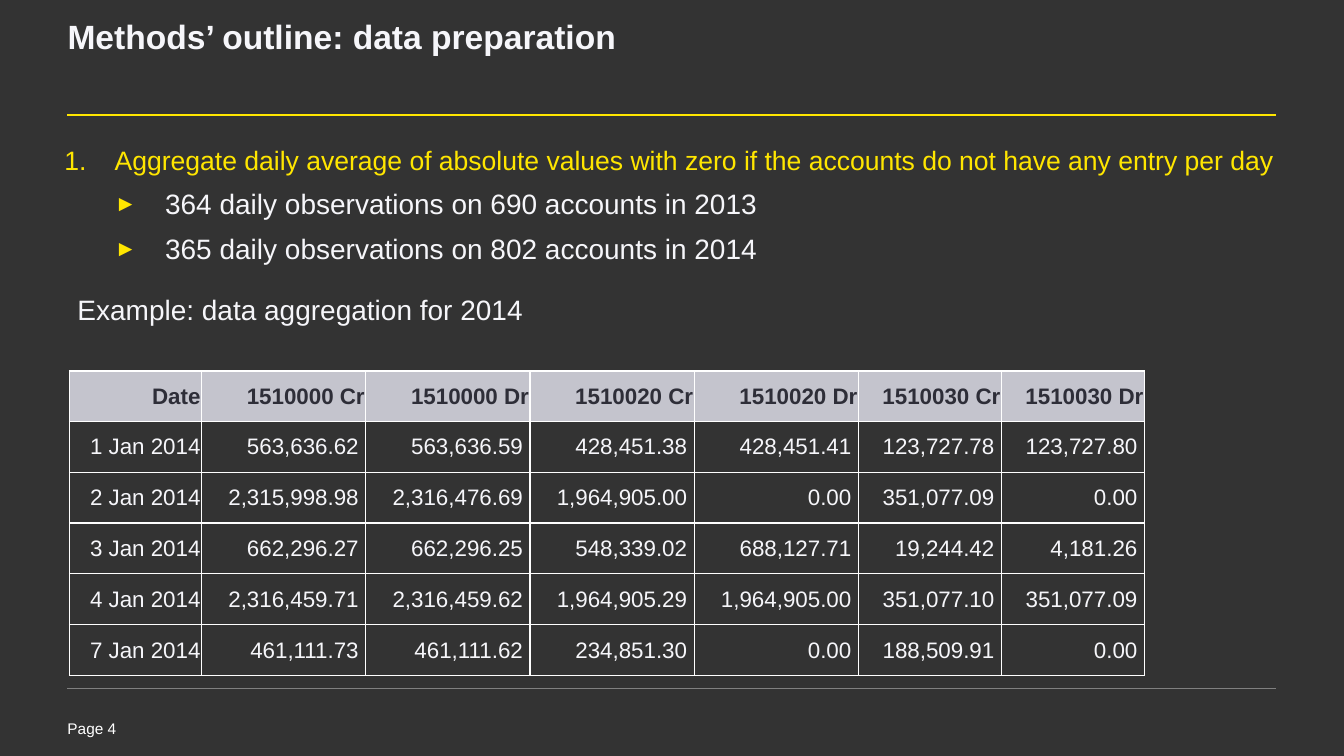
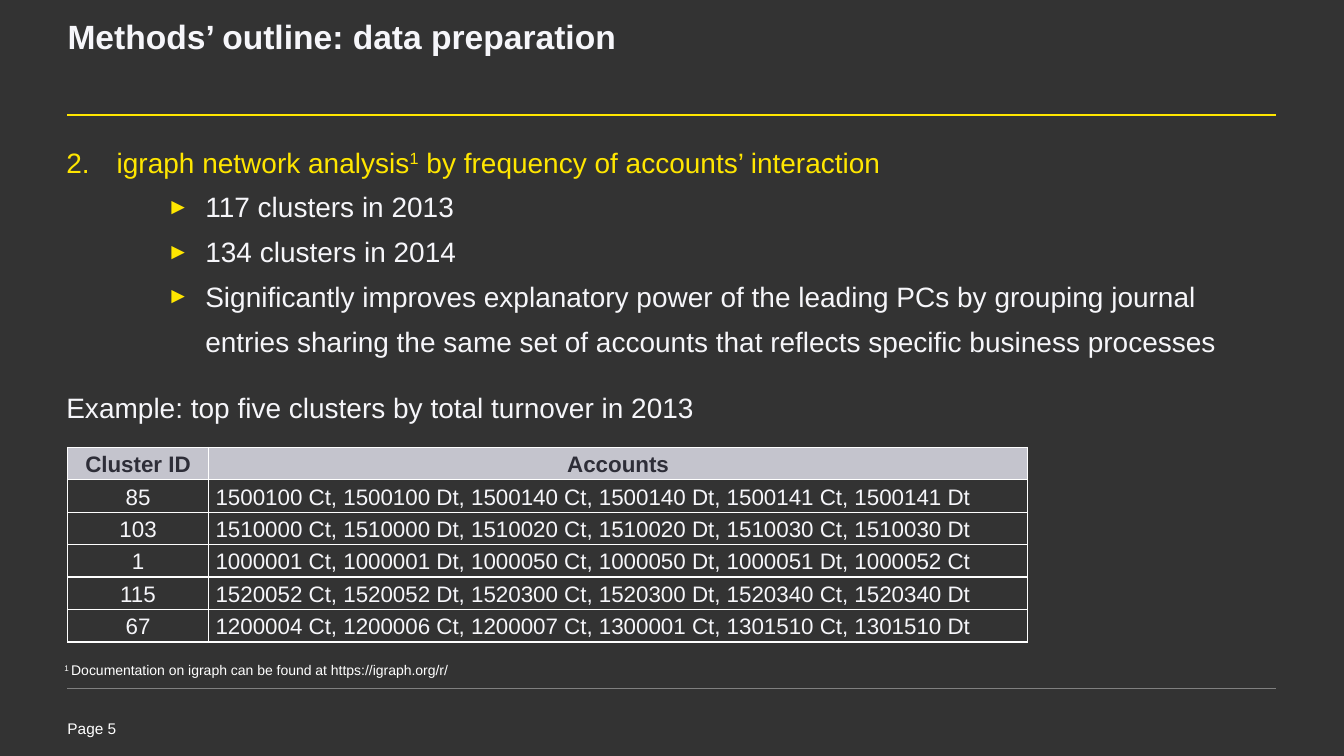
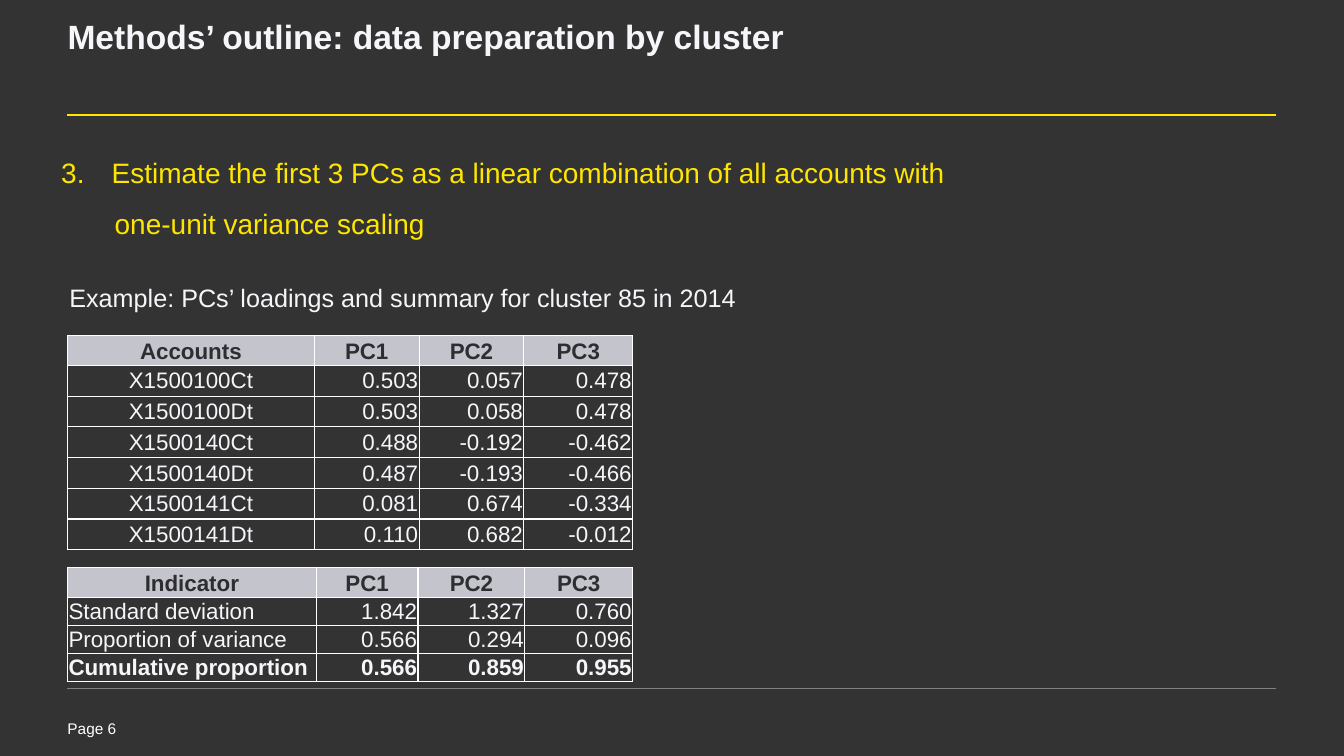
from lxml.etree import SubElement
from pptx import Presentation
from pptx.dml.color import RGBColor
from pptx.enum.shapes import MSO_CONNECTOR
from pptx.enum.text import MSO_ANCHOR, PP_ALIGN
from pptx.oxml import parse_xml
from pptx.oxml.ns import nsdecls, qn
from pptx.util import Inches, Pt

YELLOW, LIGHT, WHITE, GREY = "FFE600", "F6F6FA", "FFFFFF", "808080"
BACKGROUND, HEADER_FILL = "333333", "C4C4CD"
ALIGN = {"l": PP_ALIGN.LEFT, "c": PP_ALIGN.CENTER, "r": PP_ALIGN.RIGHT}


def colour(value):
    return RGBColor.from_string(value)


def set_all(target, values):
    for name, value in values.items():
        setattr(target, name, value)


class Deck:
    """Holds the shared style and the slide being filled."""

    def __init__(self):
        self.presentation = Presentation()
        set_all(self.presentation, {"slide_width": Inches(13.34), "slide_height": Inches(7.5)})
        fill = self.presentation.slide_master.background.fill
        fill.solid()
        fill.fore_color.rgb = colour(BACKGROUND)
        self.slide = None

    def add_slide(self, title, page):
        self.slide = self.presentation.slides.add_slide(self.presentation.slide_layouts[6])
        self.rule(1.14, YELLOW, 1.5)
        self.rule(6.83, GREY, 0.25)
        self.text((0.67, 7.13, 0.97, 0.22), [{"text": f"Page {page}", "size": 11, "ink": WHITE}], inset=(0, 0))
        self.text((0.67, 0.22, 12.01, 0.94),
                  [{"text": title, "size": 24, "bold": True, "spacing": 0.85}], inset=(0, 0))

    def rule(self, top, ink, width):
        line = self.slide.shapes.add_connector(
            MSO_CONNECTOR.STRAIGHT, Inches(0.67), Inches(top), Inches(12.67), Inches(top))
        line.line.color.rgb = colour(ink)
        line.line.width = Pt(width)
        SubElement(line._element.spPr, qn("a:effectLst"))

    def text(self, box, paragraphs, inset=(0.1, 0.05), anchor=MSO_ANCHOR.TOP):
        frame = self.slide.shapes.add_textbox(*map(Inches, box)).text_frame
        side, top = map(Inches, inset)
        set_all(frame, {"word_wrap": True, "vertical_anchor": anchor, "margin_left": side,
                        "margin_right": side, "margin_top": top, "margin_bottom": top})
        for index, options in enumerate(paragraphs):
            paragraph = frame.paragraphs[0] if index == 0 else frame.add_paragraph()
            self.fill_paragraph(paragraph, **options)

    def fill_paragraph(self, paragraph, text, size=20, ink=LIGHT, bold=False, spacing=1.0,
                       after=0, align="l", indent=None, number=None, bullet=None):
        set_all(paragraph, {"line_spacing": spacing, "space_after": Pt(after), "alignment": ALIGN[align]})
        properties = paragraph._p.get_or_add_pPr()
        if indent:
            margin, first = indent
            properties.set("marL", str(Inches(margin)))
            properties.set("indent", str(Inches(first)))
        if number:
            SubElement(properties, qn("a:buAutoNum"), type="arabicPeriod", startAt=str(number))
        if bullet:
            SubElement(SubElement(properties, qn("a:buClr")), qn("a:srgbClr"), val=YELLOW)
            SubElement(properties, qn("a:buSzPct"), val="80000")
            SubElement(properties, qn("a:buFont"), typeface="Arial")
            SubElement(properties, qn("a:buChar"), char=bullet)
        for index, part in enumerate(text.split("^")):
            if not part:
                continue
            run = paragraph.add_run()
            run.text = part
            set_all(run.font, {"name": "Arial", "size": Pt(size), "bold": bold})
            run.font.color.rgb = colour(ink)
            if index % 2:
                run._r.get_or_add_rPr().set("baseline", "30000")

    def example(self, left, top, width, text):
        self.text((left, top, width, 0.44), [{"text": text}], anchor=MSO_ANCHOR.MIDDLE)

    def table(self, box, columns, rows, aligns, header_height, header_align="c", header_ink="2E2E38",
              spacing=(1.07, 1.0), margin=0.01, number_margin=0.01, bold_last=False):
        table = self.slide.shapes.add_table(len(rows), len(columns), *map(Inches, box)).table
        set_all(table, {"first_row": False, "horz_banding": False})
        for column, width in zip(table.columns, columns):
            column.width = Inches(width)
        body_height = (box[3] - header_height) / (len(rows) - 1)
        for index, values in enumerate(rows):
            header = index == 0
            table.rows[index].height = Inches(header_height if header else body_height)
            style = {"size": 16, "ink": header_ink if header else LIGHT,
                     "bold": header or (bold_last and index == len(rows) - 1),
                     "spacing": spacing[0 if header else 1]}
            for position, value in enumerate(values):
                cell = table.cell(index, position)
                right = margin if header or position == 0 else number_margin
                set_all(cell, {"vertical_anchor": MSO_ANCHOR.MIDDLE, "margin_left": Inches(margin),
                               "margin_right": Inches(right), "margin_top": Inches(0.01), "margin_bottom": 0})
                self.fill_paragraph(cell.text_frame.paragraphs[0], value,
                                    align=header_align if header else aligns[position], **style)
                self.paint(cell, header)

    def paint(self, cell, header):
        if header:
            cell.fill.solid()
            cell.fill.fore_color.rgb = colour(HEADER_FILL)
        else:
            cell.fill.background()
        properties = cell._tc.get_or_add_tcPr()
        for index, side in enumerate("LRTB"):
            properties.insert(index, parse_xml(
                f'<a:ln{side} {nsdecls("a")} w="{Pt(1)}"><a:solidFill>'
                f'<a:srgbClr val="{WHITE}"/></a:solidFill></a:ln{side}>'))


def main():
    deck = Deck()
    spaced = {"spacing": Pt(32)}
    step = {"ink": YELLOW, "indent": (0.5, -0.5)}

    deck.add_slide("Methods’ outline: data preparation", 4)
    item = {"bullet": "►", "indent": (1, -0.5), **spaced}
    deck.text((0.54, 1.25, 12.52, 1.45), [
        {"text": "Aggregate daily average of absolute values with zero if the accounts do not have any entry per day",
         "size": 19, "number": 1, **step, **spaced},
        {"text": "364 daily observations on 690 accounts in 2013", **item},
        {"text": "365 daily observations on 802 accounts in 2014", **item},
    ])
    deck.table((0.69, 3.68, 10.67, 3.02), [1.31] + [1.63] * 4 + [1.42] * 2, [
        ["Date", "1510000 Cr", "1510000 Dr", "1510020 Cr", "1510020 Dr", "1510030 Cr", "1510030 Dr"],
        ["1 Jan 2014", "563,636.62", "563,636.59", "428,451.38", "428,451.41", "123,727.78", "123,727.80"],
        ["2 Jan 2014", "2,315,998.98", "2,316,476.69", "1,964,905.00", "0.00", "351,077.09", "0.00"],
        ["3 Jan 2014", "662,296.27", "662,296.25", "548,339.02", "688,127.71", "19,244.42", "4,181.26"],
        ["4 Jan 2014", "2,316,459.71", "2,316,459.62", "1,964,905.29", "1,964,905.00", "351,077.10", "351,077.09"],
        ["7 Jan 2014", "461,111.73", "461,111.62", "234,851.30", "0.00", "188,509.91", "0.00"],
    ], "rrrrrrr", 0.5, header_align="r", spacing=(1.0, 1.0), number_margin=0.07)
    deck.example(0.67, 2.85, 4.73, "Example: data aggregation for 2014")

    deck.add_slide("Methods’ outline: data preparation", 5)
    item = {"bullet": "►", "indent": (1.38, -0.38), **spaced}
    deck.text((0.56, 1.28, 11.94, 2.34), [
        {"text": "igraph network analysis^1^ by frequency of accounts’ interaction", "number": 2, **step, **spaced},
        {"text": "117 clusters in 2013", **item},
        {"text": "134 clusters in 2014", **item},
        {"text": "Significantly improves explanatory power of the leading PCs by grouping journal "
                 "entries sharing the same set of accounts that reflects specific business processes", **item},
    ])
    deck.table((0.67, 4.44, 9.53, 1.93), [1.4, 8.13], [
        ["Cluster ID", "Accounts"],
        ["85", "1500100 Ct, 1500100 Dt, 1500140 Ct, 1500140 Dt, 1500141 Ct, 1500141 Dt"],
        ["103", "1510000 Ct, 1510000 Dt, 1510020 Ct, 1510020 Dt, 1510030 Ct, 1510030 Dt"],
        ["1", "1000001 Ct, 1000001 Dt, 1000050 Ct, 1000050 Dt, 1000051 Dt, 1000052 Ct"],
        ["115", "1520052 Ct, 1520052 Dt, 1520300 Ct, 1520300 Dt, 1520340 Ct, 1520340 Dt"],
        ["67", "1200004 Ct, 1200006 Ct, 1200007 Ct, 1300001 Ct, 1301510 Ct, 1301510 Dt"],
    ], "cl", 0.32, spacing=(1.07, 1.07), margin=0.07, number_margin=0.07)
    deck.example(0.56, 3.82, 6.65, "Example: top five clusters by total turnover in 2013")
    deck.text((0.64, 6.55, 7.22, 0.18), [
        {"text": "^1 ^Documentation on igraph can be found at https://igraph.org/r/",
         "size": 10, "ink": WHITE, "spacing": 0.85, "after": 6},
    ], inset=(0, 0.04))

    deck.add_slide("Methods’ outline: data preparation by cluster", 6)
    deck.text((0.51, 1.33, 11.94, 1.11), [
        {"text": "Estimate the first 3 PCs as a linear combination of all accounts with",
         "number": 3, "spacing": 1.5, **step},
        {"text": "one-unit variance scaling", "ink": YELLOW, "spacing": 1.5, "indent": (0.53, 0)},
    ])
    deck.text((0.59, 2.73, 7.53, 0.86), [
        {"text": "Example: PCs’ loadings and summary for cluster 85 in 2014", "size": 18, "spacing": 1.07, "after": 8},
    ])
    deck.table((0.67, 3.33, 5.61, 2.12), [2.45, 1.04, 1.04, 1.08], [
        ["Accounts", "PC1", "PC2", "PC3"],
        ["X1500100Ct", "0.503", "0.057", "0.478"],
        ["X1500100Dt", "0.503", "0.058", "0.478"],
        ["X1500140Ct", "0.488", "-0.192", "-0.462"],
        ["X1500140Dt", "0.487", "-0.193", "-0.466"],
        ["X1500141Ct", "0.081", "0.674", "-0.334"],
        ["X1500141Dt", "0.110", "0.682", "-0.012"],
    ], "crrr", 0.29, header_ink="2E2E32")
    deck.table((0.67, 5.63, 5.61, 1.13), [2.47, 1.01, 1.06, 1.07], [
        ["Indicator", "PC1", "PC2", "PC3"],
        ["Standard deviation", "1.842", "1.327", "0.760"],
        ["Proportion of variance", "0.566", "0.294", "0.096"],
        ["Cumulative proportion", "0.566", "0.859", "0.955"],
    ], "lrrr", 0.3, header_ink="2E2E32", bold_last=True)

    deck.presentation.save("out.pptx")


if __name__ == "__main__":
    main()
